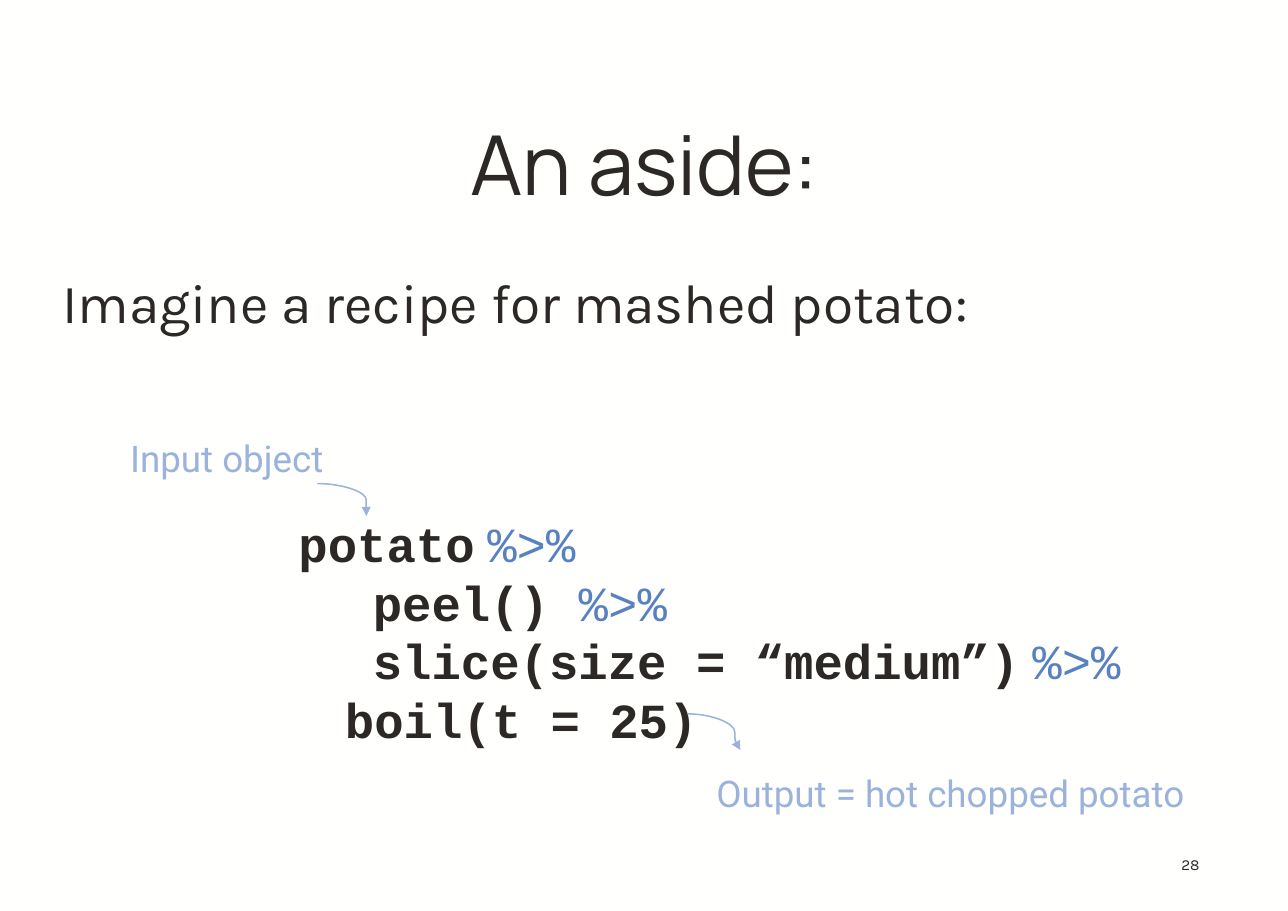
from lxml import etree
from pptx import Presentation
from pptx.dml.color import RGBColor
from pptx.enum.shapes import MSO_CONNECTOR
from pptx.enum.text import MSO_ANCHOR, PP_ALIGN
from pptx.oxml.ns import qn
from pptx.util import Pt

CURVE = MSO_CONNECTOR.CURVE
TOP, BOTTOM = MSO_ANCHOR.TOP, MSO_ANCHOR.BOTTOM
LEFT, CENTER, RIGHT = PP_ALIGN.LEFT, PP_ALIGN.CENTER, PP_ALIGN.RIGHT

COLORS = {
    "background": "FFFFFE",
    "text": "2C2825",
    "pipe": "5881C1",
    "note": "9BB3DA",
}
PIPE = "%>%"
# Left indent, code, font of the space before the pipe (None: no pipe)
RECIPE = [
    (14.4, "potato", "Karla"),
    (63, "peel()", "Courier New"),
    (63, "slice(size = “medium”)", "Karla"),
    (44.8, "boil(t = 25)", None),
]


def rgb(name):
    return RGBColor.from_string(COLORS[name])


def style(font, face, size, color, bold=False):
    font.name = face
    font.size = Pt(size)
    font.color.rgb = rgb(color)
    font.bold = bold


def add_frame(slide, box, inset, anchor=TOP):
    frame = slide.shapes.add_textbox(*map(Pt, box)).text_frame
    frame.word_wrap = True
    frame.vertical_anchor = anchor
    frame.margin_left = frame.margin_right = Pt(inset)
    frame.margin_top = frame.margin_bottom = Pt(inset)
    return frame


def add_line(slide, box, text, face, size, color="text", align=LEFT,
             inset=6, anchor=TOP):
    frame = add_frame(slide, box, inset, anchor)
    frame.text = text
    paragraph = frame.paragraphs[0]
    paragraph.alignment = align
    style(paragraph.runs[0].font, face, size, color)
    return paragraph


def indent(paragraph, left):
    properties = paragraph._p.get_or_add_pPr()
    properties.set("marL", str(Pt(left)))
    properties.set("indent", "0")


def add_code(slide, box, lines):
    frame = add_frame(slide, box, 7.2)
    frame.margin_top = Pt(8)
    for number, (left, code, space_face) in enumerate(lines):
        paragraph = frame.add_paragraph() if number else frame.paragraphs[0]
        indent(paragraph, left)
        paragraph.line_spacing = Pt(38.4)
        parts = [(code, "Courier New", "text", True)]
        if space_face:
            parts += [(" ", space_face, "text", True),
                      (PIPE, "Courier New", "pipe", False)]
        for text, face, color, bold in parts:
            run = paragraph.add_run()
            run.text = text
            style(run.font, face, 32, color, bold)


def add_curved_arrow(slide, start, end, bend):
    arrow = slide.shapes.add_connector(CURVE, *map(Pt, start + end))
    arrow.line.color.rgb = rgb("note")
    arrow.line.width = Pt(1)
    properties = arrow._element.spPr
    guides = properties.find(qn("a:prstGeom")).get_or_add_avLst()
    etree.SubElement(guides, qn("a:gd"), name="adj1", fmla=f"val {bend}")
    outline = properties.find(qn("a:ln"))
    etree.SubElement(outline, qn("a:tailEnd"), type="triangle")
    etree.SubElement(properties, qn("a:effectLst"))


def main():
    deck = Presentation()
    deck.slide_width, deck.slide_height = Pt(841.68), Pt(595.44)
    slide = deck.slides.add_slide(deck.slide_layouts[6])
    slide.background.fill.solid()
    slide.background.fill.fore_color.rgb = rgb("background")

    # Title, introduction and page number
    add_line(slide, (52.6, 87.8, 737.3, 56.9), "An aside:", "Manrope", 54,
             align=CENTER, anchor=BOTTOM)
    introduction = add_line(slide, (20.2, 160.6, 805, 391.7),
                            "Imagine a recipe for mashed potato:", "Karla", 36)
    indent(introduction, 14.4)
    introduction.line_spacing = 1.2
    add_line(slide, (733, 553, 56.9, 28.8), "28", "Karla", 10, align=RIGHT)

    # Recipe as piped code
    add_code(slide, (173.5, 327.6, 568.1, 162.7), RECIPE)

    # Notes on what goes in and what comes out
    add_line(slide, (0, 281.5, 296.4, 36), "Input object", "Roboto", 24,
             "note", CENTER, inset=3.6)
    add_curved_arrow(slide, (207.4, 316.1), (239.4, 337.3), 99800)
    add_line(slide, (430.6, 500.4, 380.9, 36), "Output = hot chopped potato",
             "Roboto", 24, "note", CENTER, inset=3.6)
    add_curved_arrow(slide, (449.3, 466.6), (483.8, 490.3), 89500)

    deck.save("out.pptx")


if __name__ == "__main__":
    main()
